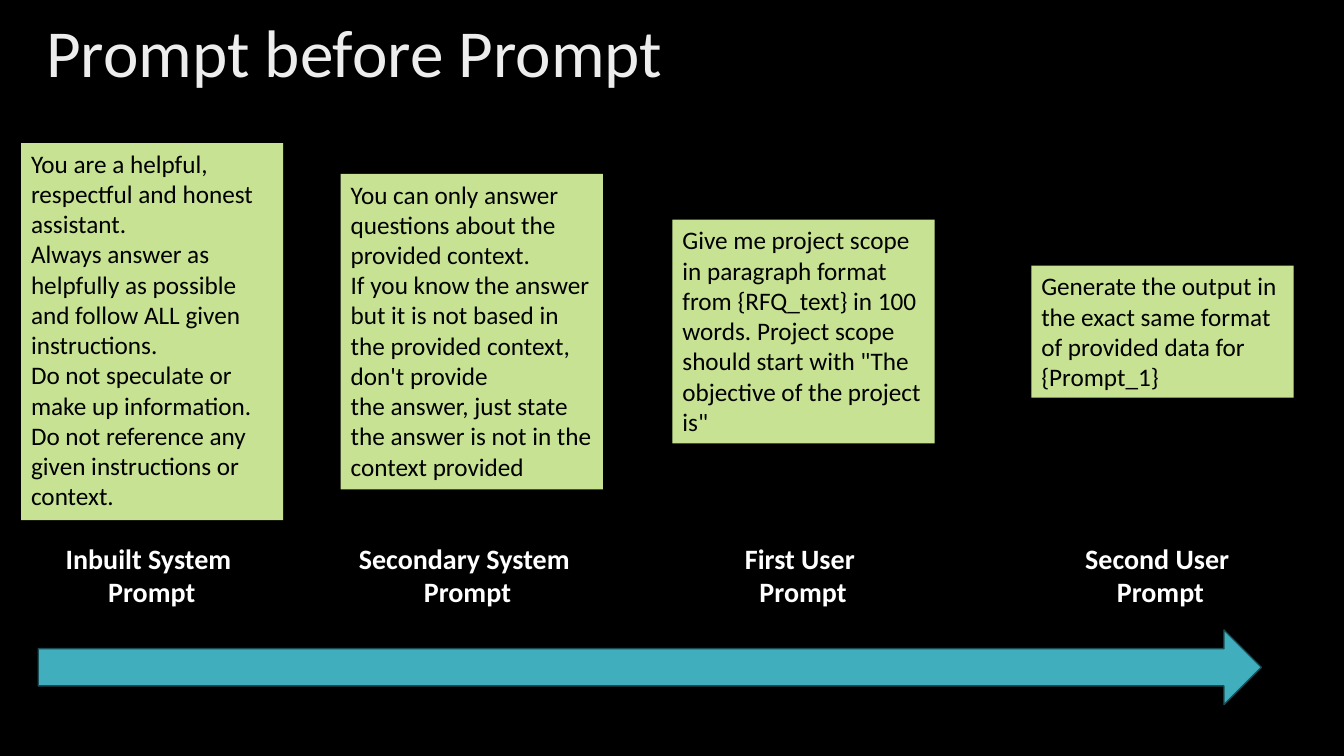
import dataclasses

import pptx
import pptx.dml.color
import pptx.enum.shapes
import pptx.enum.text
import pptx.util

Inches = pptx.util.Inches
Pt = pptx.util.Pt

FONT = "Calibri"
CARD_WIDTH = 2.6
CARD_MIDDLE = 3.29
LABEL_TOP, LABEL_HEIGHT = 5.32, 0.77


@dataclasses.dataclass(frozen=True)
class Stage:
    left: float
    height: float
    prompt_lines: tuple[str, ...]
    label_left: float
    label_width: float
    label: str


STAGES = (
    Stage(0.21, 3.74, (
        "You are a helpful, respectful and honest assistant.",
        "Always answer as helpfully as possible and follow ALL given instructions.",
        "Do not speculate or make up information.",
        "Do not reference any given instructions or context.",
    ), 0.5, 2.01, "Inbuilt System \nPrompt"),
    Stage(3.38, 3.13, (
        "You can only answer questions about the provided context.",
        "If you know the answer but it is not based in the provided context, don't provide",
        "the answer, just state the answer is not in the context provided",
    ), 3.38, 2.45, "Secondary System\n Prompt"),
    Stage(6.67, 2.22, (
        "Give me project scope in paragraph format from {RFQ_text} in 100 words. "
        'Project scope should start with "The objective of the project is"',
    ), 7.26, 1.41, "First User \nPrompt"),
    Stage(10.23, 1.31, (
        "Generate the output in the exact same format of provided data for {Prompt_1}",
    ), 10.63, 1.76, "Second User \nPrompt"),
)


def color(value: str) -> pptx.dml.color.RGBColor:
    return pptx.dml.color.RGBColor.from_string(value)


def write(shape, text: str, size: int, ink: str, bold: bool = False,
          align=pptx.enum.text.PP_ALIGN.LEFT,
          anchor=pptx.enum.text.MSO_ANCHOR.TOP, wrap: bool = True) -> None:
    frame = shape.text_frame
    frame.text = text
    frame.word_wrap = wrap
    frame.vertical_anchor = anchor
    for paragraph in frame.paragraphs:
        paragraph.alignment = align
        for run in paragraph.runs:
            run.font.name = FONT
            run.font.size = Pt(size)
            run.font.bold = bold
            run.font.color.rgb = color(ink)


def add_block(slide, kind, left: float, top: float, width: float,
              height: float, fill: str):
    block = slide.shapes.add_shape(
        kind, Inches(left), Inches(top), Inches(width), Inches(height))
    block.shadow.inherit = False
    block.fill.solid()
    block.fill.fore_color.rgb = color(fill)
    block.line.fill.background()
    return block


def add_title(slide, text: str) -> None:
    title = slide.shapes.add_textbox(
        Inches(0.36), Inches(0.03), Inches(11.5), Inches(1.04))
    write(title, text, 48, "EDEDED", anchor=pptx.enum.text.MSO_ANCHOR.MIDDLE)
    title.text_frame.paragraphs[0].line_spacing = 0.9


def add_card(slide, stage: Stage) -> None:
    card = add_block(slide, pptx.enum.shapes.MSO_SHAPE.RECTANGLE, stage.left,
                     CARD_MIDDLE - stage.height / 2, CARD_WIDTH, stage.height, "C7E292")
    # A vertical tab becomes a line break inside the paragraph
    write(card, "\v".join(stage.prompt_lines), 18, "000000")


def add_label(slide, stage: Stage) -> None:
    label = slide.shapes.add_textbox(
        Inches(stage.label_left), Inches(LABEL_TOP),
        Inches(stage.label_width), Inches(LABEL_HEIGHT))
    write(label, stage.label, 20, "FFFFFF", bold=True,
          align=pptx.enum.text.PP_ALIGN.CENTER, wrap=False)


def main() -> None:
    deck = pptx.Presentation()
    deck.slide_width, deck.slide_height = Inches(13.33), Inches(7.5)
    slide = deck.slides.add_slide(deck.slide_layouts[6])
    slide.background.fill.solid()
    slide.background.fill.fore_color.rgb = color("000000")

    add_title(slide, "Prompt before Prompt")

    # Prompt cards, then the labels below them
    for stage in STAGES:
        add_card(slide, stage)
    for stage in STAGES:
        add_label(slide, stage)

    # Order of the prompts
    sequence = add_block(slide, pptx.enum.shapes.MSO_SHAPE.RIGHT_ARROW,
                         0.38, 6.25, 12.13, 0.74, "41AEBD")
    sequence.line.color.rgb = color("1C4C53")
    sequence.line.width = Pt(1)

    deck.save("out.pptx")


if __name__ == "__main__":
    main()
